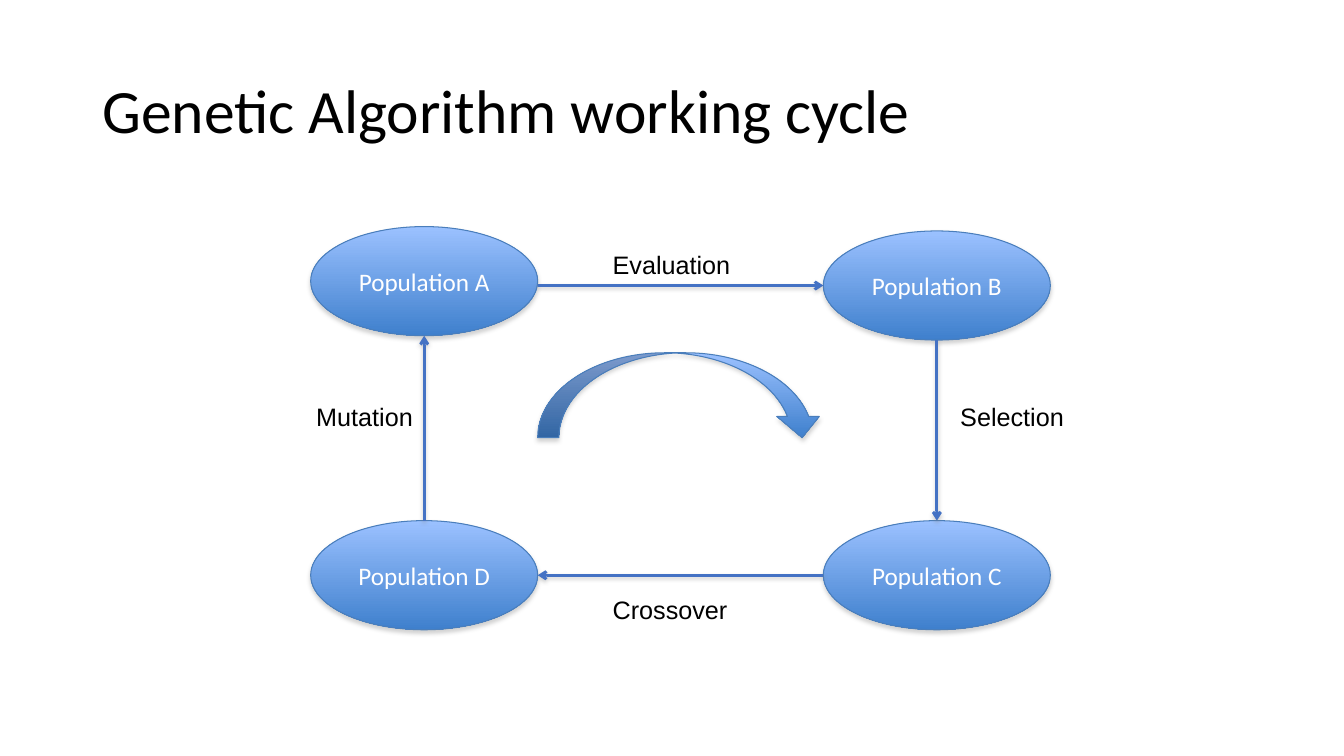
import pptx
import pptx.dml.color
import pptx.enum.shapes
import pptx.enum.text
import pptx.oxml
import pptx.oxml.ns
import pptx.util
from dataclasses import dataclass

Cm = pptx.util.Cm
Pt = pptx.util.Pt
Shapes = pptx.enum.shapes.MSO_SHAPE
Anchor = pptx.enum.text.MSO_ANCHOR
Align = pptx.enum.text.PP_ALIGN


@dataclass(frozen=True)
class Theme:
    ink: str = "000000"
    node_ink: str = "FFFFFF"
    gradient: tuple = ("9BC1FF", "3F80CD")
    outline: str = "4A7EBB"
    arrow: str = "4472C4"
    shadow: str = "808080"
    outline_width: float = 0.75
    arrow_width: float = 2
    title_size: int = 44
    body_size: int = 18
    title_font: str = "Calibri"
    label_font: str = "Arial"


THEME = Theme()
NODE_WIDTH, NODE_HEIGHT = 5.72, 2.75


def rgb(code):
    return pptx.dml.color.RGBColor.from_string(code)


def write(frame, text, size, font, color):
    paragraph = frame.paragraphs[0]
    run = paragraph.add_run()
    run.text = text
    run.font.size = Pt(size)
    run.font.name = font
    run.font.color.rgb = rgb(color)
    return paragraph


def set_line(shape, color, width):
    shape.line.color.rgb = rgb(color)
    shape.line.width = Pt(width)


def cast_shadow(shape, opacity, distance):
    shape._element.spPr.append(pptx.oxml.parse_xml(
        f'<a:effectLst {pptx.oxml.ns.nsdecls("a")}>'
        f'<a:outerShdw blurRad="{Pt(3.1)}" dist="{Pt(distance)}" dir="5400000" rotWithShape="0">'
        f'<a:srgbClr val="{THEME.shadow}"><a:alpha val="{opacity * 1000}"/></a:srgbClr>'
        '</a:outerShdw></a:effectLst>'))


def add_glossy(slide, preset, left, top, width, height):
    shape = slide.shapes.add_shape(preset, Cm(left), Cm(top), Cm(width), Cm(height))
    shape.fill.gradient()
    shape.fill.gradient_angle = 270
    for stop, color in zip(shape.fill.gradient_stops, THEME.gradient):
        stop.color.rgb = rgb(color)
    for position, stop in enumerate(shape.fill.gradient_stops):
        stop.position = position
    set_line(shape, THEME.outline, THEME.outline_width)
    cast_shadow(shape, 35, 1.8)
    return shape


def add_population(slide, name, left, top):
    population = add_glossy(slide, Shapes.OVAL, left, top, NODE_WIDTH, NODE_HEIGHT)
    frame = population.text_frame
    frame.vertical_anchor = Anchor.MIDDLE
    paragraph = write(frame, name, THEME.body_size, THEME.title_font, THEME.node_ink)
    paragraph.alignment = Align.CENTER


def add_arrow(slide, start, end):
    arrow = slide.shapes.add_connector(
        pptx.enum.shapes.MSO_CONNECTOR.STRAIGHT, *map(Cm, start + end))
    set_line(arrow, THEME.arrow, THEME.arrow_width)
    arrow.line._get_or_add_ln().append(
        pptx.oxml.parse_xml(f'<a:tailEnd {pptx.oxml.ns.nsdecls("a")} type="arrow"/>'))
    cast_shadow(arrow, 38, 1.6)


def add_label(slide, text, left, top, width):
    label = slide.shapes.add_textbox(Cm(left), Cm(top), Cm(width), Cm(1.03))
    frame = label.text_frame
    frame.word_wrap = False
    frame.auto_size = pptx.enum.text.MSO_AUTO_SIZE.SHAPE_TO_FIT_TEXT
    write(frame, text, THEME.body_size, THEME.label_font, THEME.ink)


def add_title(slide, text):
    title = slide.shapes.add_textbox(Cm(2.33), Cm(1.01), Cm(29.21), Cm(3.68))
    frame = title.text_frame
    frame.word_wrap = True
    frame.vertical_anchor = Anchor.MIDDLE
    paragraph = write(frame, text, THEME.title_size, THEME.title_font, THEME.ink)
    paragraph.line_spacing = 0.9


def main():
    deck = pptx.Presentation()
    deck.slide_width, deck.slide_height = Cm(33.87), Cm(19.05)
    slide = deck.slides.add_slide(deck.slide_layouts[6])
    add_title(slide, "Genetic Algorithm working cycle")

    left, right = 7.83, 20.75
    top_a, top_b, bottom = 5.71, 5.82, 13.12
    for name, x, y in (
        ("Population A", left, top_a),
        ("Population B", right, top_b),
        ("Population C", right, bottom),
        ("Population D", left, bottom),
    ):
        add_population(slide, name, x, y)

    inner_left = left + NODE_WIDTH
    left_axis, right_axis = left + NODE_WIDTH / 2, right + NODE_WIDTH / 2
    upper_axis, lower_axis = top_b + NODE_HEIGHT / 2, bottom + NODE_HEIGHT / 2
    for start, end in (
        ((inner_left, upper_axis), (right, upper_axis)),
        ((right_axis, top_b + NODE_HEIGHT), (right_axis, bottom)),
        ((right, lower_axis), (inner_left, lower_axis)),
        ((left_axis, bottom), (left_axis, top_a + NODE_HEIGHT)),
    ):
        add_arrow(slide, start, end)

    add_glossy(slide, Shapes.CURVED_DOWN_ARROW, inner_left, 8.89, right - inner_left, 2.14)

    for text, x, y, width in (
        ("Evaluation", 15.19, 6.17, 3.5),
        ("Selection", 23.95, 9.99, 3.15),
        ("Crossover", 15.19, 14.86, 3.43),
        ("Mutation", 7.72, 9.99, 2.97),
    ):
        add_label(slide, text, x, y, width)

    deck.save("out.pptx")


if __name__ == "__main__":
    main()
